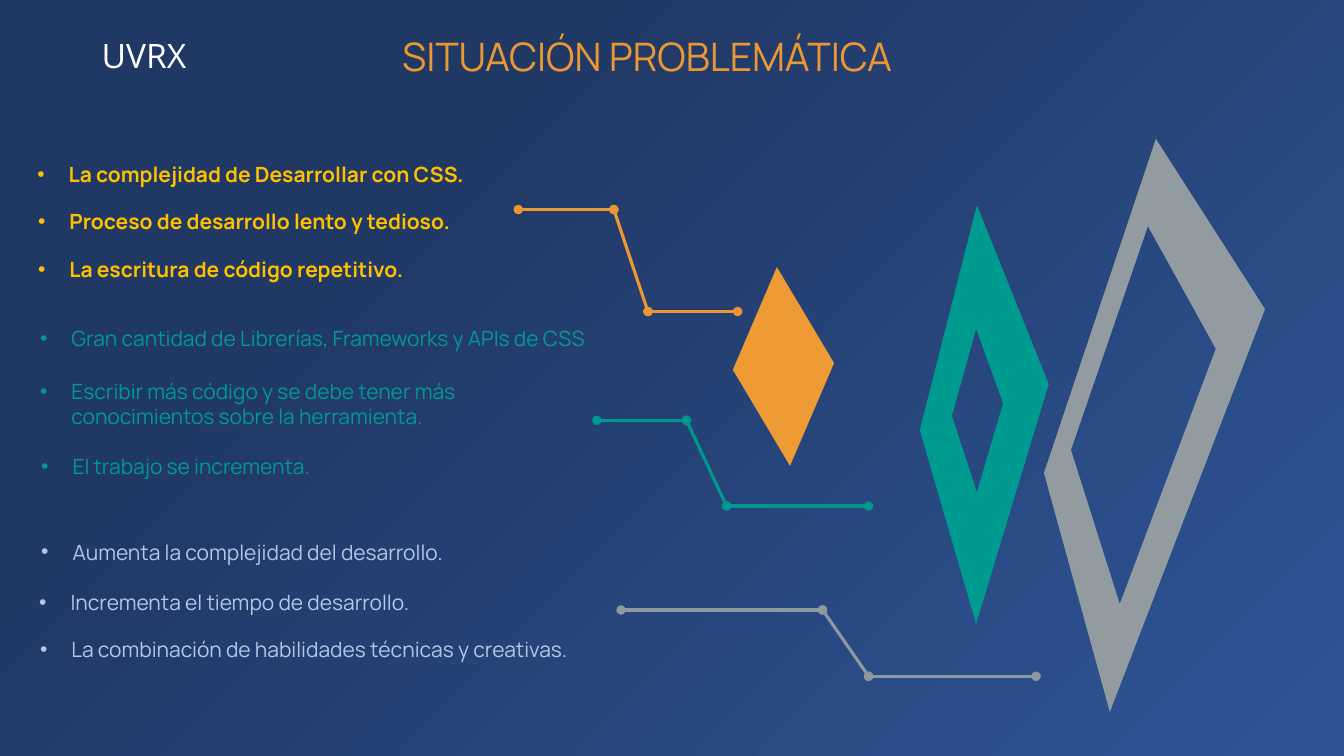
from itertools import pairwise

from lxml.etree import SubElement
from pptx import Presentation
from pptx.dml.color import RGBColor
from pptx.enum.shapes import MSO_CONNECTOR as CONN
from pptx.enum.text import MSO_ANCHOR as ANCHOR, PP_ALIGN as ALIGN
from pptx.oxml.ns import qn
from pptx.util import Cm, Pt

COLORS = {
    "bg_light": "2F5597", "bg_dark": "203864", "white": "FFFFFF",
    "gold": "FFC000", "teal_text": "009A90", "pale_blue": "B4C7E7",
    "orange": "EB9734", "teal_line": "00978D", "gray_line": "8F999D",
    "orange_fill": "EF9B35", "teal_fill": "009B90", "gray_fill": "929CA0",
}

DIAMONDS = [
    ("gray_fill",
     [[(29.13, 3.5), (31.88, 7.79), (27.97, 17.94), (26.31, 11.92)],
      [(28.93, 5.7), (30.64, 8.79), (28.22, 15.22), (26.99, 11.34)]]),
    ("teal_fill",
     [[(24.62, 5.17), (26.43, 9.68), (24.6, 15.72), (23.18, 10.84)],
      [(24.6, 8.29), (25.28, 10.16), (24.62, 12.4), (23.99, 10.48)]]),
    ("orange_fill",
     [[(19.58, 6.73), (21.02, 9.15), (19.91, 11.74), (18.47, 9.32)]]),
]

LEADERS = [
    ("orange", [(13.06, 5.28), (15.47, 5.28), (16.33, 7.85), (18.59, 7.85)]),
    ("teal_line", [(15.04, 10.59), (17.3, 10.59), (18.31, 12.75), (21.89, 12.75)]),
    ("gray_line", [(15.65, 15.37), (20.73, 15.37), (21.89, 17.04), (26.11, 17.04)]),
]

BULLETS = [
    ("gold", True, [
        ("La complejidad de Desarrollar con CSS.", 0.69, 3.94, 11.71, 0.89),
        ("Proceso de desarrollo lento y tedioso.", 0.71, 5.13, 11.3, 0.89),
        ("La escritura de código repetitivo.", 0.71, 6.34, 10.06, 0.89)]),
    ("teal_text", False, [
        ("Gran cantidad de Librerías, Frameworks y APIs de CSS", 0.76, 8.08, 15.47, 0.89),
        ("Escribir más código y se debe tener más conocimientos sobre la herramienta.",
         0.76, 9.42, 14.3, 1.55),
        ("El trabajo se incrementa.", 0.79, 11.3, 8.13, 0.89)]),
    ("pale_blue", False, [
        ("Aumenta la complejidad del desarrollo.", 0.79, 13.46, 11.81, 0.89),
        ("Incrementa el tiempo de desarrollo.", 0.74, 14.73, 10.85, 0.89),
        ("La combinación de habilidades técnicas y creativas.", 0.76, 15.91, 15.01, 0.89)]),
]


def rgb(name):
    """Return the named palette colour."""
    return RGBColor.from_string(COLORS[name])


def write(sp, text, size=15, color="white", font="Manrope", bold=False, bullet=False):
    """Put one formatted paragraph into a shape."""
    tf = sp.text_frame
    tf.word_wrap = True
    tf.vertical_anchor = ANCHOR.TOP
    p = tf.paragraphs[0]
    p.alignment = ALIGN.LEFT
    p.line_spacing = 1.0
    r = p.add_run()
    r.text = text
    r.font.size = Pt(size)
    r.font.name = font
    r.font.bold = bold
    r.font.color.rgb = rgb(color)
    if bullet:
        pPr = p._p.get_or_add_pPr()
        pPr.set("marL", str(Cm(0.79)))
        pPr.set("indent", str(Cm(-0.79)))
        SubElement(pPr, qn("a:buFont")).set("typeface", "Arial")
        SubElement(pPr, qn("a:buChar")).set("char", "•")


class Deck:
    """Hold the presentation style and the current slide."""

    def __init__(self, width, height):
        """Open a presentation with one title-only slide."""
        self.prs = Presentation()
        self.prs.slide_width, self.prs.slide_height = Cm(width), Cm(height)
        self.s = self.prs.slides.add_slide(self.prs.slide_layouts[5])

    def background(self, start, end, stop, angle):
        """Fill the slide with a linear gradient."""
        fill = self.s.background.fill
        fill.gradient()
        fill.gradient_angle = angle
        first, last = fill.gradient_stops
        first.color.rgb, last.color.rgb = rgb(start), rgb(end)
        first.position, last.position = 0, stop

    def title(self, text, left, top, width, height, **fmt):
        """Place and format the title placeholder."""
        sp = self.s.shapes.title
        sp.left, sp.top, sp.width, sp.height = map(Cm, (left, top, width, height))
        write(sp, text, **fmt)

    def text(self, text, left, top, width, height, **fmt):
        """Add a text box."""
        sp = self.s.shapes.add_textbox(*map(Cm, (left, top, width, height)))
        write(sp, text, **fmt)

    def diamond(self, color, contours):
        """Add a filled outline whose second contour is a hole."""
        outer, *holes = [[(Cm(x), Cm(y)) for x, y in c] for c in contours]
        fb = self.s.shapes.build_freeform(*outer[0])
        fb.add_line_segments(outer[1:], close=True)
        for hole in holes:
            fb.move_to(*hole[0])
            fb.add_line_segments(hole[1:], close=True)
        sp = fb.convert_to_shape()
        sp.shadow.inherit = False
        sp.fill.solid()
        sp.fill.fore_color.rgb = rgb(color)
        sp.line.fill.background()

    def leader(self, color, points):
        """Add a grouped chain of lines with round ends."""
        group = self.s.shapes.add_group_shape()
        for a, b in pairwise(points):
            cx = group.shapes.add_connector(CONN.STRAIGHT, *map(Cm, a + b))
            cx.line.color.rgb = rgb(color)
            cx.line.width = Pt(2.25)
            ln = cx.line._get_or_add_ln()
            for end in ("a:headEnd", "a:tailEnd"):
                SubElement(ln, qn(end)).set("type", "oval")
            SubElement(cx._element.spPr, qn("a:effectLst"))


def main():
    """Build and save the slide."""
    deck = Deck(33.87, 19.05)
    deck.background("bg_light", "bg_dark", 0.73, 135)
    for color, contours in DIAMONDS:
        deck.diamond(color, contours)
    for color, points in LEADERS:
        deck.leader(color, points)
    deck.title("SITUACIÓN PROBLEMÁTICA", 9.88, 0.69, 13.94, 1.45, size=28, color="orange")
    deck.text("UVRX", 2.31, 0.76, 3.2, 1.27, size=24, font="Open Sans")
    for color, bold, rows in BULLETS:
        for row in rows:
            deck.text(*row, color=color, bold=bold, bullet=True)
    deck.prs.save("out.pptx")


if __name__ == "__main__":
    main()
